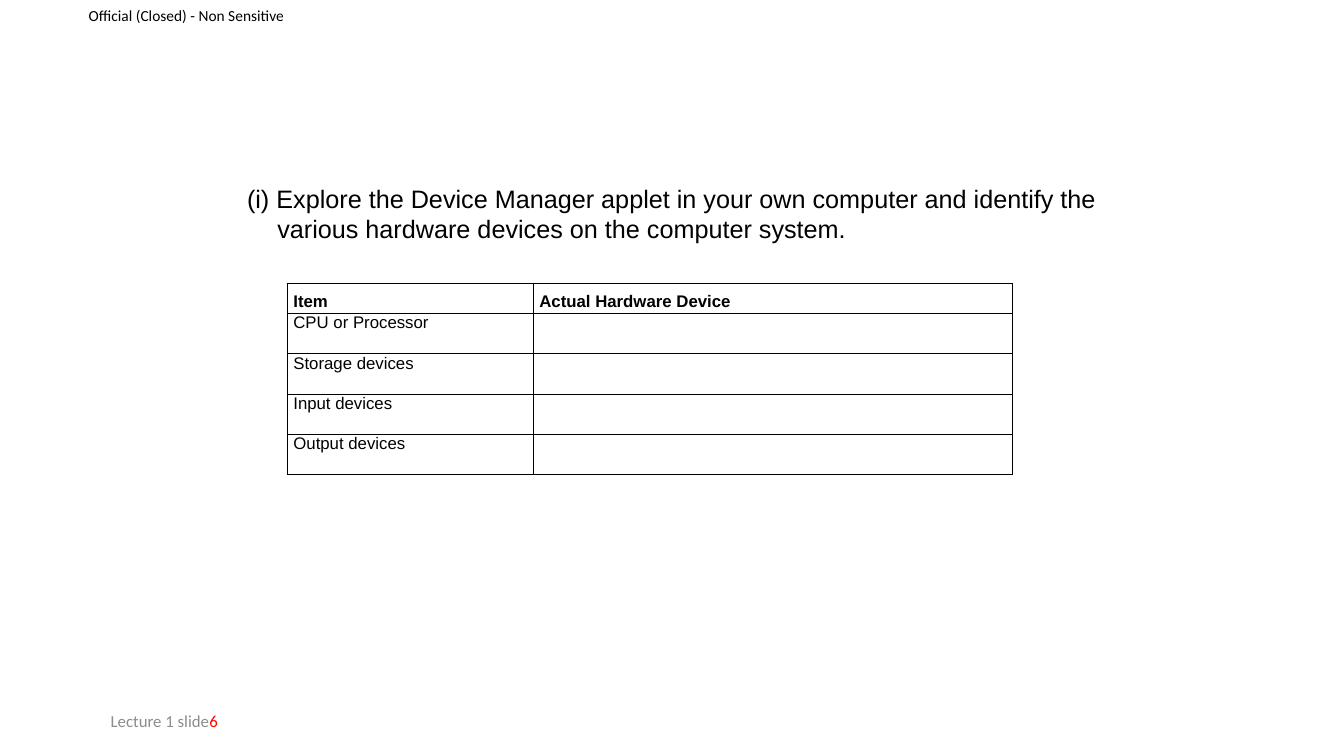
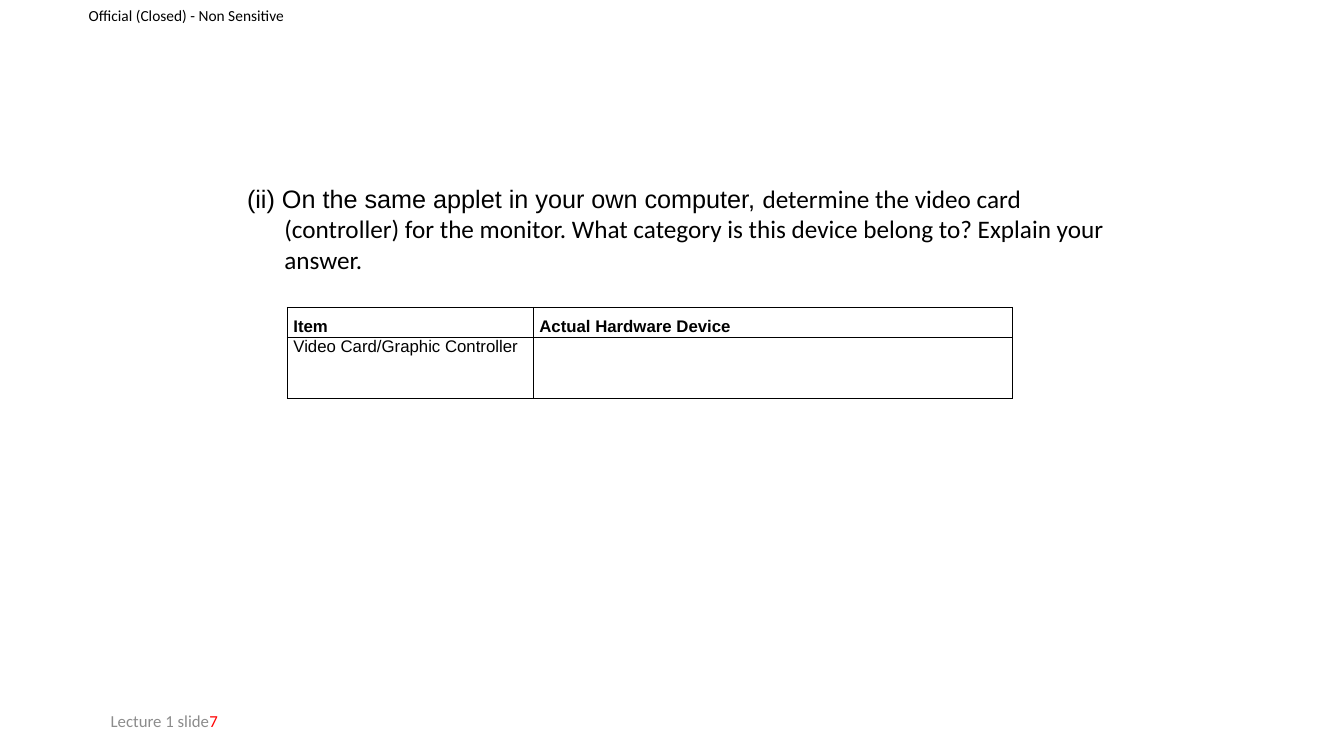
from dataclasses import dataclass

from lxml import etree
from pptx import Presentation
from pptx.dml.color import RGBColor
from pptx.enum.text import MSO_ANCHOR as Anchor, MSO_AUTO_SIZE as AutoSize, PP_ALIGN as Align
from pptx.oxml.ns import qn
from pptx.slide import Slide
from pptx.text.text import TextFrame, _Paragraph as Paragraph
from pptx.util import Inches, Pt

COLORS = {"text": "000000", "footer": "8C8C8C", "number": "FF0000"}
SANS, BODY = "Arial", "Calibri"
COL_WIDTHS = (2.44, 4.75)
HEADERS = ("Item", "Actual Hardware Device")
HEADER_HEIGHT = 0.3


@dataclass(frozen=True)
class Exercise:
    number: int
    runs: tuple[tuple[str, str], ...]  # text, font
    hanging: float
    height: float
    table_top: float
    row_height: float
    items: tuple[str, ...]


EXERCISES = (
    Exercise(
        6,
        (("(i) Explore the Device Manager applet in your own computer and identify "
          "the various hardware devices on the computer system.", SANS),),
        0.3, 0.72, 2.81, 0.4,
        ("CPU or Processor", "Storage devices", "Input devices", "Output devices"),
    ),
    Exercise(
        7,
        (("(ii) On the same applet in your own computer, ", SANS),
         ("determine the video card (controller) for the monitor. What category is "
          "this device belong to? Explain your answer.", BODY)),
        0.37, 1.02, 3.05, 0.6,
        ("Video Card/Graphic Controller",),
    ),
)


def add_run(p: Paragraph, text: str, *, size: float, font: str = BODY,
            color: str = "text", bold: bool = False) -> None:
    r = p.add_run()
    r.text = text
    r.font.size, r.font.name, r.font.bold = Pt(size), font, bold
    r.font.color.rgb = RGBColor.from_string(COLORS[color])


def add_box(slide: Slide, left: float, top: float, width: float, height: float) -> TextFrame:
    tf = slide.shapes.add_textbox(*map(Inches, (left, top, width, height))).text_frame
    tf.word_wrap = True
    tf.vertical_anchor = Anchor.MIDDLE
    return tf


def add_frame(slide: Slide, number: int) -> None:
    """Classification line at the top and numbered footer."""
    tf = add_box(slide, 0.88, 0, 2.13, 0.31)
    tf.margin_left = tf.margin_right = tf.margin_top = tf.margin_bottom = 0
    add_run(tf.paragraphs[0], "Official (Closed) - Non Sensitive", size=11)

    p = add_box(slide, 1, 6.95, 3, 0.4).paragraphs[0]
    add_run(p, "Lecture 1 slide", size=12, color="footer")
    add_run(p, str(number), size=12, color="number")


def add_question(slide: Slide, ex: Exercise) -> None:
    title = slide.shapes.title
    title.left, title.top = Inches(2.35), Inches(1.76)
    title.width, title.height = Inches(8.73), Inches(ex.height)
    tf = title.text_frame
    tf.word_wrap = True
    tf.auto_size = AutoSize.NONE
    tf.vertical_anchor = Anchor.TOP
    p = tf.paragraphs[0]
    p.alignment = Align.LEFT
    p.line_spacing = Pt(22)
    pPr = p._p.get_or_add_pPr()
    pPr.set("marL", str(Inches(ex.hanging)))
    pPr.set("indent", str(-Inches(ex.hanging)))
    for text, font in ex.runs:
        add_run(p, text, size=18, font=font)


def format_cell(cell) -> None:
    cell.margin_left = cell.margin_right = Inches(0.06)
    cell.margin_top = cell.margin_bottom = 0
    tcPr = cell._tc.get_or_add_tcPr()
    for side in ("lnL", "lnR", "lnT", "lnB"):
        ln = etree.SubElement(tcPr, qn(f"a:{side}"), w=str(Pt(1)))
        fill = etree.SubElement(ln, qn("a:solidFill"))
        etree.SubElement(fill, qn("a:srgbClr"), val=COLORS["text"])
    cell.fill.background()


def add_device_table(slide: Slide, ex: Exercise) -> None:
    rows = [HEADERS] + [(item, "") for item in ex.items]
    heights = [HEADER_HEIGHT] + [ex.row_height] * len(ex.items)
    table = slide.shapes.add_table(
        len(rows), len(HEADERS), Inches(2.85), Inches(ex.table_top),
        Inches(sum(COL_WIDTHS)), Inches(sum(heights))).table
    table.first_row = table.horz_banding = False
    for col, width in zip(table.columns, COL_WIDTHS):
        col.width = Inches(width)
    for i, (texts, height) in enumerate(zip(rows, heights)):
        table.rows[i].height = Inches(height)
        for j, text in enumerate(texts):
            cell = table.cell(i, j)
            format_cell(cell)
            p = cell.text_frame.paragraphs[0]
            if i == 0:
                p.line_spacing = 1.5
            if text:
                add_run(p, text, size=12, font=SANS, bold=i == 0)
            else:
                p.font.size = Pt(12)


def main() -> None:
    prs = Presentation()
    prs.slide_width, prs.slide_height = Inches(13.33), Inches(7.5)
    title_only = prs.slide_layouts[5]
    for ex in EXERCISES:
        slide = prs.slides.add_slide(title_only)
        add_frame(slide, ex.number)
        add_question(slide, ex)
        add_device_table(slide, ex)
    prs.save("out.pptx")


if __name__ == "__main__":
    main()
